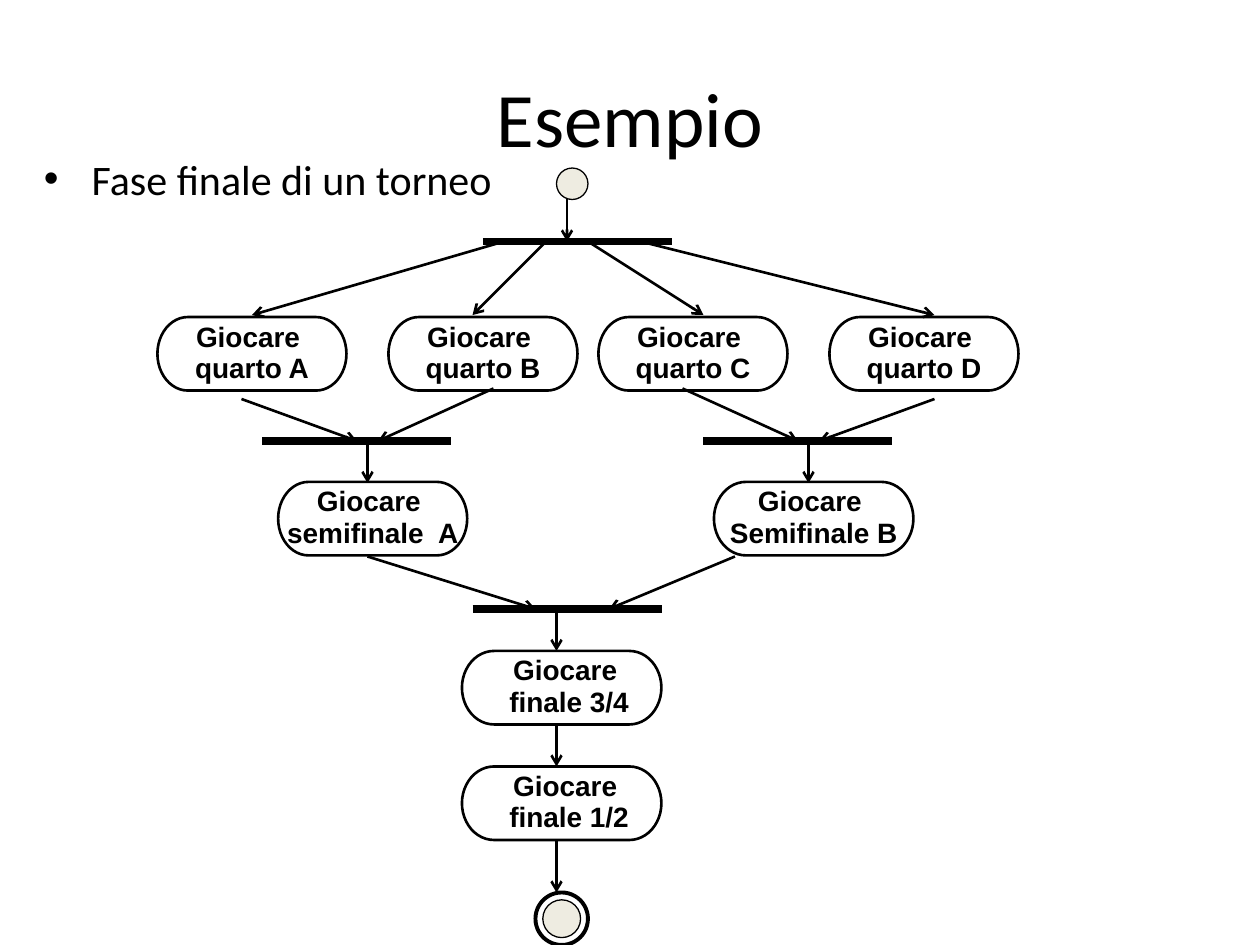
from lxml import etree
from pptx import Presentation
from pptx.dml.color import RGBColor
from pptx.enum.shapes import MSO_CONNECTOR, MSO_SHAPE
from pptx.enum.text import MSO_ANCHOR, PP_ALIGN
from pptx.oxml.ns import qn
from pptx.util import Inches, Pt

LEFT, CENTER = PP_ALIGN.LEFT, PP_ALIGN.CENTER
TOP, MIDDLE = MSO_ANCHOR.TOP, MSO_ANCHOR.MIDDLE
STRAIGHT = MSO_CONNECTOR.STRAIGHT
OVAL, TERMINATOR = MSO_SHAPE.OVAL, MSO_SHAPE.FLOWCHART_TERMINATOR
BLACK, CREAM = "000000", "EEECE1"
BAR_W, STATE_H = 18, 7


def grid(*values):
    """Turn grid steps of a twelfth of an inch into lengths."""
    return [Inches(v / 12) for v in values]


def rgb(color):
    """Turn a hex string into a colour."""
    return RGBColor.from_string(color)


def add_text(slide, text, box, size=16, font="Arial", bold=False, align=CENTER,
             anchor=TOP, spacing=None, wrap=True, bullet=None):
    """Add a text box with one paragraph per line of text."""
    tf = slide.shapes.add_textbox(*grid(*box)).text_frame
    tf.word_wrap, tf.vertical_anchor = wrap, anchor
    for i, line in enumerate(text.split("\n")):
        p = tf.add_paragraph() if i else tf.paragraphs[0]
        p.alignment, p.line_spacing = align, spacing
        if bullet:
            pPr = p._p.get_or_add_pPr()
            pPr.set("marL", str(Inches(0.38)))
            pPr.set("indent", str(-Inches(0.38)))
            etree.SubElement(pPr, qn("a:buFont"), typeface="Arial")
            etree.SubElement(pPr, qn("a:buChar"), char=bullet)
        r = p.add_run()
        r.text = line
        r.font.size, r.font.name, r.font.bold = Pt(size), font, bold
        r.font.color.rgb = rgb(BLACK)


def add_outline(slide, kind, box, width, fill=None):
    """Add an outlined preset shape, filled if a colour is given."""
    sp = slide.shapes.add_shape(kind, *grid(*box))
    sp.shadow.inherit = False
    sp.line.color.rgb, sp.line.width = rgb(BLACK), Pt(width)
    if fill:
        sp.fill.solid()
        sp.fill.fore_color.rgb = rgb(fill)
    else:
        sp.fill.background()


def add_line(slide, x1, y1, x2, y2, width=1.5, arrow=True):
    """Add a straight line, by default with an arrowhead at its end."""
    cxn = slide.shapes.add_connector(STRAIGHT, *grid(x1, y1, x2, y2))
    cxn.line.color.rgb, cxn.line.width = rgb(BLACK), Pt(width)
    if arrow:
        etree.SubElement(cxn.line._get_or_add_ln(), qn("a:tailEnd"), type="arrow")
    etree.SubElement(cxn._element.spPr, qn("a:effectLst"))


def add_bar(slide, x, y):
    """Add a fork or join bar."""
    add_line(slide, x, y, x + BAR_W, y, width=4.5, arrow=False)


def add_state(slide, text, x, y, w=18, shift=0):
    """Add an activity state with a label slightly wider than its outline."""
    add_text(slide, text, (x + shift - 1, y - 0.2, w + 2, 7.2), bold=True,
             spacing=Pt(18), wrap=False)
    add_outline(slide, TERMINATOR, (x, y, w, STATE_H), 1.5)


def add_heading(slide, x, y):
    """Add the title and the bullet line."""
    add_text(slide, "Esempio", (x + 3, y, 108, 15), size=44, font="Calibri",
             anchor=MIDDLE)
    add_text(slide, "Fase finale di un torneo", (x, y + 10.4, 113, 10), size=24,
             font="Calibri", align=LEFT, bullet="•")


def add_quarters(slide, x, y):
    """Add the start node and the fork into four quarter-finals."""
    add_outline(slide, OVAL, (x + 38, y, 3, 3), 0.75, CREAM)
    add_line(slide, x + 39, y + 3, x + 39, y + 7)
    add_bar(slide, x + 31, y + 7)
    for name, col, start, end in (("A", 0, 33, 9), ("B", 22, 37, 30),
                                  ("C", 42, 41, 52), ("D", 64, 46, 74)):
        add_state(slide, f"Giocare \nquarto {name}", x + col, y + 14.2)
        add_line(slide, x + start, y + 7, x + end, y + 14)


def add_semifinal(slide, text, x, y, drops, state_x, state_w):
    """Add the join of two quarter-finals into a semi-final."""
    for start, drop, end in zip((-2, 22), drops, (9, 11)):
        add_line(slide, x + start, y + drop, x + end, y + 5)
    add_bar(slide, x, y + 5)
    add_line(slide, x + 10, y + 5, x + 10, y + 9)
    add_state(slide, text, x + state_x, y + 8.9, state_w)


def add_finals(slide, x, y):
    """Add the join of the semi-finals, both finals and the end node."""
    add_line(slide, x - 9, y, x + 7, y + 5)
    add_line(slide, x + 26, y, x + 14, y + 5)
    add_bar(slide, x + 1, y + 5)
    for top, bottom in ((5, 9), (16, 20), (27, 32)):
        add_line(slide, x + 9, y + top, x + 9, y + bottom)
    for name, row in (("3/4", 9), ("1/2", 20)):
        add_state(slide, f"Giocare \nfinale {name}", x, y + row, 19, shift=0.7)
    add_outline(slide, OVAL, (x + 7.7, y + 32.7, 3.6, 3.6), 0.75, CREAM)
    add_outline(slide, OVAL, (x + 7, y + 32, 5, 5), 2.25)


def main():
    """Build the slide and save it."""
    prs = Presentation()
    prs.slide_width, prs.slide_height = grid(120, 90)
    slide = prs.slides.add_slide(prs.slide_layouts[6])
    add_heading(slide, 3, 3.6)
    add_quarters(slide, 15, 16)
    add_semifinal(slide, "Giocare \nsemifinale  A", 25, 37, (1, 0), 1.5, 18)
    add_semifinal(slide, "Giocare \nSemifinale B", 67, 37, (0, 1), 1, 19)
    add_finals(slide, 44, 53)
    prs.save("out.pptx")


if __name__ == "__main__":
    main()
